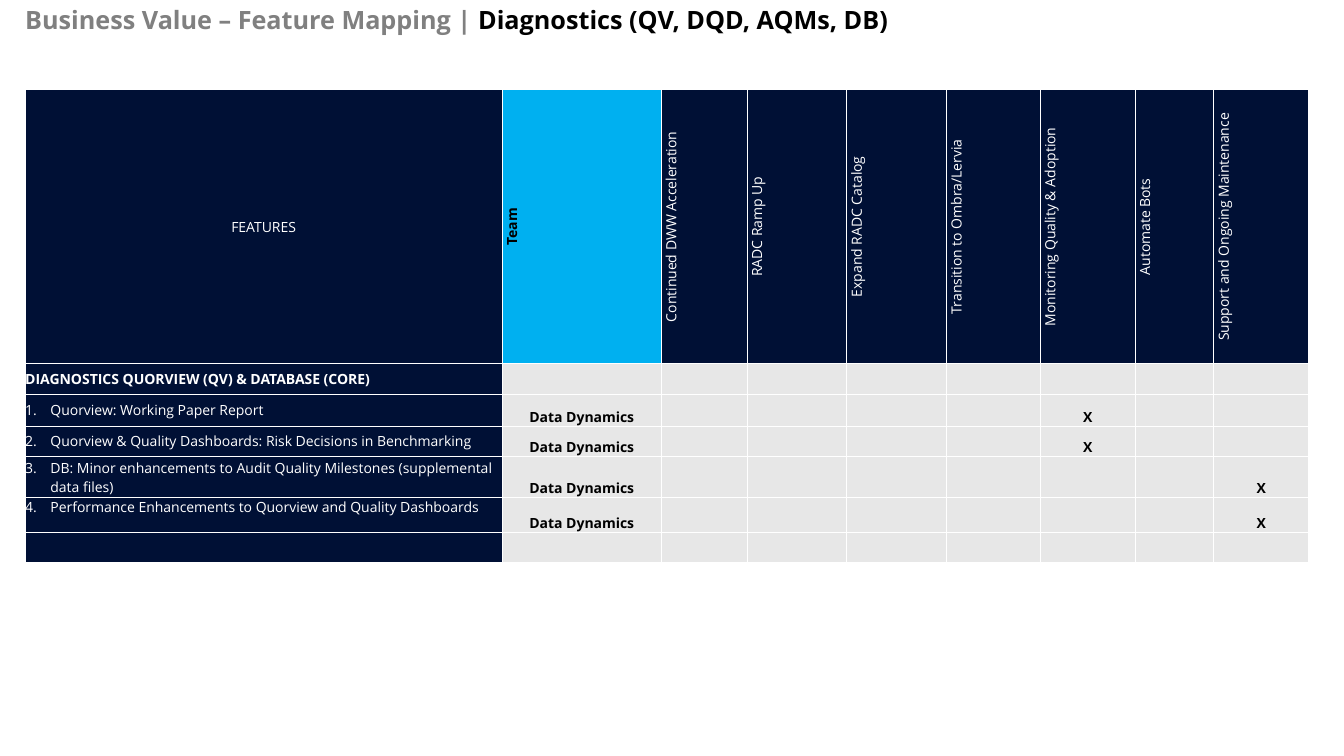
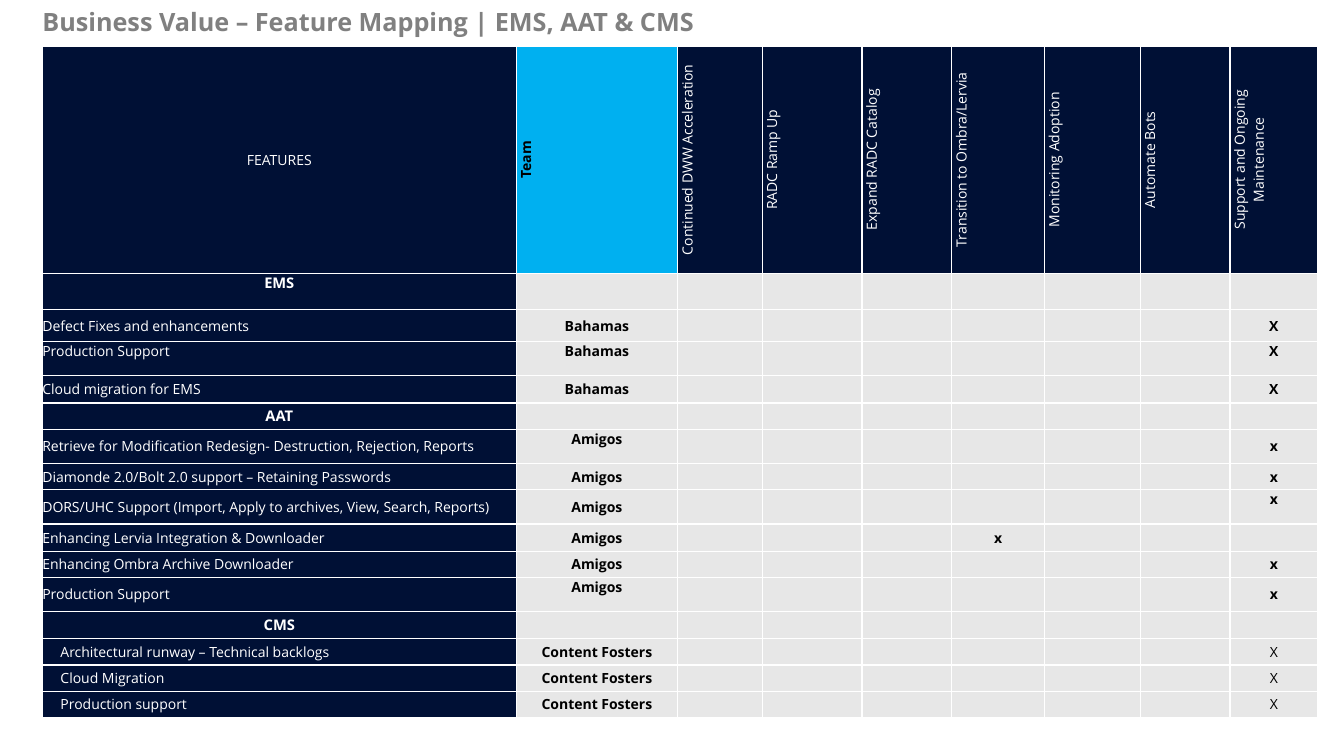
from dataclasses import dataclass

from lxml import etree
from pptx import Presentation
from pptx.dml.color import RGBColor
from pptx.enum import text
from pptx.oxml.ns import qn
from pptx.util import Inches, Pt

TOP, MIDDLE, BOTTOM = text.MSO_ANCHOR.TOP, text.MSO_ANCHOR.MIDDLE, text.MSO_ANCHOR.BOTTOM
LEFT, CENTER = text.PP_ALIGN.LEFT, text.PP_ALIGN.CENTER


@dataclass(frozen=True)
class Theme:
    font: str = "Open Sans"
    navy: str = "001035"
    cyan: str = "00B0F0"
    pale: str = "E7E7E7"
    gray: str = "808080"
    white: str = "FFFFFF"
    black: str = "000000"
    title_size: float = 18
    section_size: float = 10.5
    cell_size: float = 10


THEME = Theme()


@dataclass(frozen=True)
class Feature:
    label: str
    height: float
    team: str = ""
    mark: str = ""
    mark_column: int = 8
    mark_bold: bool = True
    number: int = 0
    indent: float = 0
    label_anchor: text.MSO_ANCHOR = MIDDLE
    team_anchor: text.MSO_ANCHOR = MIDDLE
    mark_anchor: text.MSO_ANCHOR = MIDDLE


@dataclass(frozen=True)
class Section:
    label: str
    height: float
    align: text.PP_ALIGN = CENTER
    size: float = THEME.section_size
    anchor: text.MSO_ANCHOR = MIDDLE


@dataclass(frozen=True)
class Mapping:
    title_parts: tuple[tuple[str, str], ...]
    title_at: tuple[float, float]
    table_at: tuple[float, float]
    widths: tuple[float, ...]
    header_height: float
    monitoring: str
    support: str
    rows: tuple[Feature | Section, ...]


def dynamics(number: int, label: str, height: float, mark_column: int,
             label_anchor: text.MSO_ANCHOR = MIDDLE) -> Feature:
    return Feature(label, height, "Data Dynamics", "X", mark_column, number=number,
                   indent=0.25, label_anchor=label_anchor,
                   team_anchor=BOTTOM, mark_anchor=BOTTOM)


def fosters(label: str) -> Feature:
    return Feature(label, 0.26, "Content Fosters", "X", mark_bold=False, indent=0.18)


MAPPINGS = (
    Mapping(
        title_parts=(("Business Value – Feature Mapping | ", THEME.gray),
                     ("Diagnostics (QV, DQD, AQMs, DB)", THEME.black)),
        title_at=(0.25, 0.03),
        table_at=(0.25, 0.89),
        widths=(4.73, 1.58, 0.85, 0.99, 0.99, 0.93, 0.94, 0.78, 0.94),
        header_height=2.72,
        monitoring="Monitoring Quality & Adoption",
        support="Support and Ongoing Maintenance",
        rows=(
            Section("DIAGNOSTICS QUORVIEW (QV) & DATABASE (CORE)", 0.3, LEFT, THEME.cell_size),
            dynamics(1, "Quorview: Working Paper Report", 0.32, 6),
            dynamics(2, "Quorview & Quality Dashboards: Risk Decisions in Benchmarking", 0.3, 6),
            dynamics(3, "DB: Minor enhancements to Audit Quality Milestones "
                        "(supplemental data files)", 0.41, 8),
            dynamics(4, "Performance Enhancements to Quorview and Quality Dashboards",
                     0.34, 8, TOP),
            Feature("", 0.3),
        ),
    ),
    Mapping(
        title_parts=(("Business Value – Feature Mapping | EMS, AAT & CMS", THEME.gray),),
        title_at=(0.42, 0.05),
        table_at=(0.42, 0.46),
        widths=(4.7, 1.6, 0.84, 0.99, 0.89, 0.92, 0.95, 0.89, 0.87),
        header_height=2.25,
        monitoring="Monitoring Adoption",
        support="Support and Ongoing\vMaintenance",
        rows=(
            Section("EMS", 0.36, anchor=TOP),
            Feature("Defect Fixes and enhancements", 0.32, "Bahamas", "X"),
            Feature("Production Support", 0.34, "Bahamas", "X",
                    label_anchor=TOP, team_anchor=TOP, mark_anchor=TOP),
            Feature("Cloud migration for EMS", 0.27, "Bahamas", "X"),
            Section("AAT", 0.26),
            Feature("Retrieve for Modification Redesign- Destruction, Rejection, Reports",
                    0.34, "Amigos", "x", team_anchor=TOP),
            Feature("Diamonde 2.0/Bolt 2.0 support – Retaining Passwords", 0.26, "Amigos", "x"),
            Feature("DORS/UHC Support (Import, Apply to archives, View, Search, Reports)",
                    0.34, "Amigos", "x", mark_anchor=TOP),
            Feature("Enhancing Lervia Integration & Downloader", 0.27, "Amigos", "x", 5),
            Feature("Enhancing Ombra Archive Downloader", 0.26, "Amigos", "x"),
            Feature("Production Support", 0.34, "Amigos", "x", team_anchor=TOP),
            Section("CMS", 0.27),
            fosters("Architectural runway – Technical backlogs"),
            fosters("Cloud Migration"),
            fosters("Production support"),
        ),
    ),
)


def headings(mapping: Mapping) -> tuple[str, ...]:
    return ("FEATURES", "Team", "Continued DWW Acceleration", "RADC Ramp Up",
            "Expand RADC Catalog", "Transition to Ombra/Lervia", mapping.monitoring,
            "Automate Bots", mapping.support)


def set_font(para, size: float, color: str, bold: bool) -> None:
    font = para.font
    font.name, font.size, font.bold = THEME.font, Pt(size), bold
    font.color.rgb = RGBColor.from_string(color)


def set_indent(para, indent: float, number: int) -> None:
    """Indent a paragraph; a number other than zero hangs in the indent."""
    props = para._p.get_or_add_pPr()
    props.set("marL", str(Inches(indent)))
    if number:
        props.set("indent", str(-Inches(indent)))
        color = etree.SubElement(props, qn("a:buClr"))
        etree.SubElement(color, qn("a:srgbClr"), val=THEME.white)
        etree.SubElement(props, qn("a:buAutoNum"), type="arabicPeriod", startAt=str(number))


def write_cell(cell, words: str, color: str = THEME.white, bold: bool = False,
               size: float = THEME.cell_size, align: text.PP_ALIGN = CENTER,
               anchor: text.MSO_ANCHOR = MIDDLE, indent: float = 0, number: int = 0) -> None:
    cell.text = words
    cell.vertical_anchor = anchor
    para = cell.text_frame.paragraphs[0]
    para.alignment = align
    if indent:
        set_indent(para, indent, number)
    set_font(para, size, color, bold)


def prepare_cell(cell, fill: str) -> None:
    """Fill a blank cell and keep its empty line from stretching the row."""
    cell.fill.solid()
    cell.fill.fore_color.rgb = RGBColor.from_string(fill)
    cell.margin_left = cell.margin_right = cell.margin_top = cell.margin_bottom = 0
    para = cell.text_frame.paragraphs[0]
    etree.SubElement(para._p, qn("a:endParaRPr"), sz=str(THEME.cell_size * 100))


def write_header(table, labels: tuple[str, ...]) -> None:
    for column, label in enumerate(labels):
        cell = table.cell(0, column)
        is_team = column == 1
        prepare_cell(cell, THEME.cyan if is_team else THEME.navy)
        write_cell(cell, label, THEME.black if is_team else THEME.white, is_team)
        if column:
            cell._tc.get_or_add_tcPr().set("vert", "vert270")


def write_row(table, index: int, row: Feature | Section) -> None:
    cells = table.rows[index].cells
    for column, cell in enumerate(cells):
        prepare_cell(cell, THEME.pale if column else THEME.navy)
    if isinstance(row, Section):
        write_cell(cells[0], row.label, bold=True, size=row.size,
                   align=row.align, anchor=row.anchor)
    elif row.label:
        write_cell(cells[0], row.label, align=LEFT, anchor=row.label_anchor,
                   indent=row.indent, number=row.number)
        write_cell(cells[1], row.team, THEME.black, True, anchor=row.team_anchor)
        write_cell(cells[row.mark_column], row.mark, THEME.black, row.mark_bold,
                   anchor=row.mark_anchor)


def add_title(page, mapping: Mapping) -> None:
    title = page.shapes.title
    title.left, title.top = (Inches(length) for length in mapping.title_at)
    title.width, title.height = Inches(12.31), Inches(0.37)
    frame = title.text_frame
    frame.margin_left = frame.margin_right = frame.margin_top = frame.margin_bottom = 0
    frame.vertical_anchor = MIDDLE
    frame.auto_size = text.MSO_AUTO_SIZE.NONE
    frame.word_wrap = True
    para = frame.paragraphs[0]
    para.alignment, para.line_spacing = LEFT, 0.9
    set_font(para, THEME.title_size, THEME.gray, True)
    for words, color in mapping.title_parts:
        span = para.add_run()
        span.text = words
        span.font.color.rgb = RGBColor.from_string(color)


def add_mapping_table(page, mapping: Mapping) -> None:
    heights = (mapping.header_height, *(row.height for row in mapping.rows))
    left, top = mapping.table_at
    table = page.shapes.add_table(
        len(heights), len(mapping.widths), Inches(left), Inches(top),
        Inches(sum(mapping.widths)), Inches(sum(heights))).table
    table.horz_banding = False
    for column, width in zip(table.columns, mapping.widths):
        column.width = Inches(width)
    for line, height in zip(table.rows, heights):
        line.height = Inches(height)
    write_header(table, headings(mapping))
    for index, row in enumerate(mapping.rows, start=1):
        write_row(table, index, row)


def main() -> None:
    deck = Presentation()
    deck.slide_width, deck.slide_height = Inches(13.33), Inches(7.5)
    title_only = deck.slide_layouts[5]
    for mapping in MAPPINGS:
        page = deck.slides.add_slide(title_only)
        add_title(page, mapping)
        add_mapping_table(page, mapping)
    deck.save("out.pptx")


if __name__ == "__main__":
    main()
